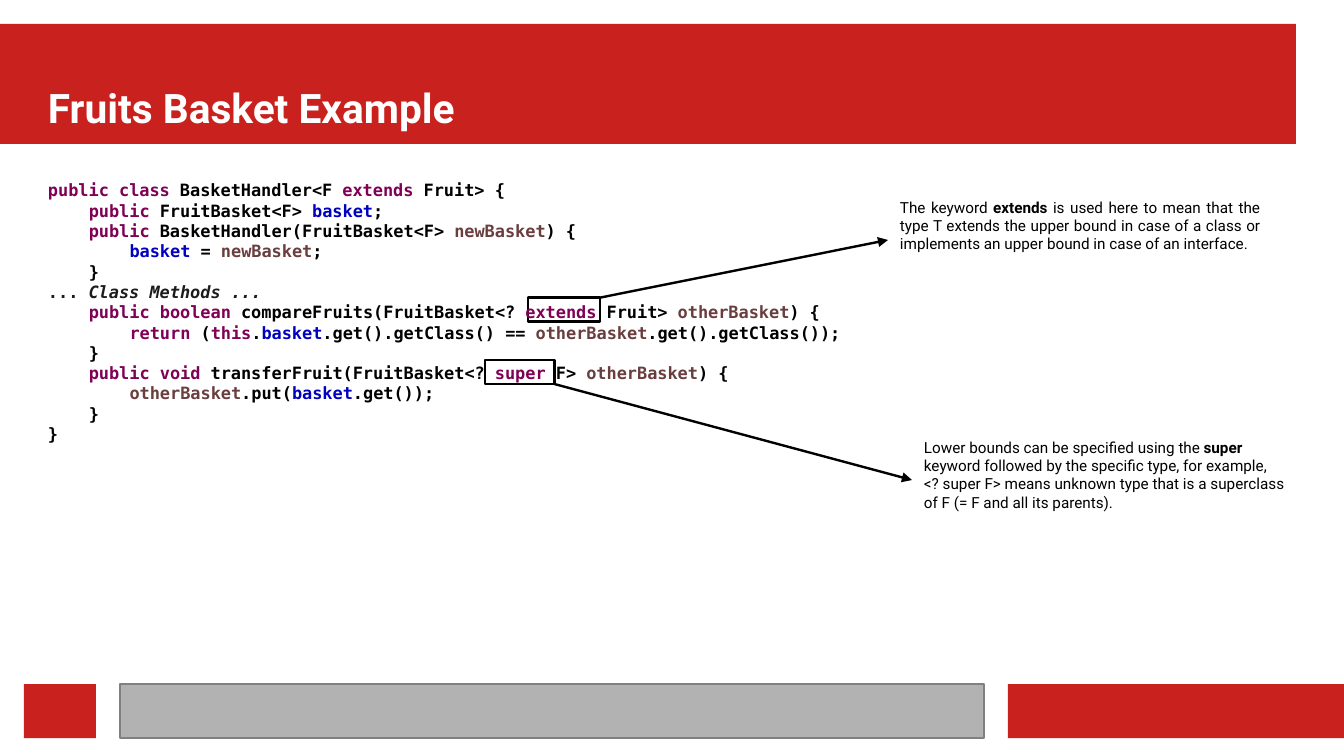
from dataclasses import dataclass

import pptx
import pptx.dml.color
import pptx.enum.shapes
import pptx.enum.text
import pptx.oxml.ns
import pptx.util
from lxml import etree

Pt = pptx.util.Pt
Align = pptx.enum.text.PP_ALIGN
Anchor = pptx.enum.text.MSO_ANCHOR

HUES = {
    "red": "C9211E", "grey": "B2B2B2", "edge": "808080", "white": "FFFFFF",
    "plain": "000000", "key": "7F0055", "field": "0000C0", "param": "6A3E3E",
    "dots": "1C1C1C", "remark": "1C1C1C",
}
SANS, MONO = "Roboto", "DejaVu Sans Mono"
STEP = 24.08  # four characters of 10 pt code
ROW = 12
STROKE = 1.42


@dataclass
class Box:
    left: float
    top: float
    width: float
    height: float
    fill: str
    line: str = ""
    weight: float = 0


@dataclass
class Code:
    depth: int
    words: list[tuple[str, str]]


@dataclass
class Note:
    left: float
    top: float
    align: Align
    words: list[tuple[str, bool]]


@dataclass
class Arrow:
    start: tuple[float, float]
    end: tuple[float, float]


BARS = [
    Box(0, 14.17, 765.35, 70.87, "red"),
    Box(595.28, 403.94, 198.43, 31.89, "red"),
    Box(70.87, 403.94, 510.24, 31.89, "grey", "edge", 0.75),
    Box(14.17, 403.94, 42.52, 31.89, "red"),
]
FRAMES = [
    Box(311.81, 175.75, 42.52, 14.17, "white", "plain", STROKE),
    Box(286.3, 212.6, 41.1, 14.17, "white", "plain", STROKE),
]
CODE = [
    Code(0, [("key", "public class"), ("plain", " BasketHandler<F "),
             ("key", "extends"), ("plain", " Fruit> {")]),
    Code(1, [("key", "public"), ("plain", " FruitBasket<F> "),
             ("field", "basket"), ("plain", ";")]),
    Code(1, [("key", "public"), ("plain", " BasketHandler(FruitBasket<F> "),
             ("param", "newBasket"), ("plain", ") {")]),
    Code(2, [("field", "basket"), ("plain", " = "),
             ("param", "newBasket"), ("plain", ";")]),
    Code(1, [("plain", "}")]),
    Code(0, [("dots", "... "), ("remark", "Class Methods ...")]),
    Code(1, [("key", "public boolean"), ("plain", " compareFruits(FruitBasket<? "),
             ("key", "extends"), ("plain", " Fruit> "),
             ("param", "otherBasket"), ("plain", ") {")]),
    Code(2, [("key", "return"), ("plain", " ("), ("key", "this"), ("plain", "."),
             ("field", "basket"), ("plain", ".get().getClass() == "),
             ("param", "otherBasket"), ("plain", ".get().getClass());")]),
    Code(1, [("plain", "}")]),
    Code(1, [("key", "public void"), ("plain", " transferFruit(FruitBasket<? "),
             ("key", "super"), ("plain", " F> "),
             ("param", "otherBasket"), ("plain", ") {")]),
    Code(2, [("param", "otherBasket"), ("plain", ".put("),
             ("field", "basket"), ("plain", ".get());")]),
    Code(1, [("plain", "}")]),
    Code(0, [("plain", "}")]),
]
NOTES = [
    Note(524.41, 113.39, Align.JUSTIFY, [
        ("The keyword ", False), ("extends", True),
        (" is used here to mean that the type T extends the upper bound in case "
         "of a class or implements an upper bound in case of an interface.", False)]),
    Note(538.58, 255.12, Align.LEFT, [
        ("Lower bounds can be specified using the ", False), ("super", True),
        (" keyword followed by the specific type, for example, <? super F> means "
         "unknown type that is a superclass of F (= F and all its parents).", False)]),
]
ARROWS = [
    Arrow((354.33, 175.75), (524.41, 141.73)),
    Arrow((327.4, 226.77), (538.58, 283.46)),
]


def tint(name: str) -> pptx.dml.color.RGBColor:
    return pptx.dml.color.RGBColor.from_string(HUES[name])


def style(run, face: str, size: float, hue: str, bold: bool) -> None:
    run.font.name = face
    run.font.size = Pt(size)
    run.font.bold = bold
    run.font.color.rgb = tint(hue)


def draw_box(slide, box: Box) -> None:
    shape = slide.shapes.add_shape(
        pptx.enum.shapes.MSO_SHAPE.RECTANGLE,
        Pt(box.left), Pt(box.top), Pt(box.width), Pt(box.height))
    shape.shadow.inherit = False
    shape.fill.solid()
    shape.fill.fore_color.rgb = tint(box.fill)
    if box.line:
        shape.line.color.rgb = tint(box.line)
        shape.line.width = Pt(box.weight)
    else:
        shape.line.fill.background()


def place(slide, holder, left: float, top: float, width: float, height: float):
    """Move a placeholder in front of all shapes so far and clear its margins."""
    slide.shapes._spTree.append(holder._element)
    holder.left, holder.top = Pt(left), Pt(top)
    holder.width, holder.height = Pt(width), Pt(height)
    frame = holder.text_frame
    frame.margin_left = frame.margin_right = 0
    frame.margin_top = frame.margin_bottom = 0
    frame.word_wrap = True
    frame.auto_size = pptx.enum.text.MSO_AUTO_SIZE.NONE
    return frame


def draw_title(slide) -> None:
    frame = place(slide, slide.shapes.title, 28.35, 21.26, 737.01, 56.69)
    frame.vertical_anchor = Anchor.BOTTOM
    frame.text = "Fruits Basket Example"
    head = frame.paragraphs[0]
    head.alignment = Align.LEFT
    style(head.runs[0], SANS, 24, "white", True)


def draw_code(slide) -> None:
    frame = place(slide, slide.placeholders[1], 28.35, 106.3, 722.83, 276.38)
    frame.vertical_anchor = Anchor.TOP
    for index, code in enumerate(CODE):
        para = frame.add_paragraph() if index else frame.paragraphs[0]
        para.alignment = Align.LEFT
        para.space_before = para.space_after = Pt(0)
        para.line_spacing = Pt(ROW)
        props = para._p.get_or_add_pPr()
        props.set("marL", str(Pt(code.depth * STEP)))
        props.set("indent", "0")
        etree.SubElement(props, pptx.oxml.ns.qn("a:buNone"))
        for hue, text in code.words:
            run = para.add_run()
            run.text = text
            style(run, MONO, 10, hue, True)
            run.font.italic = hue == "remark"


def draw_note(slide, note: Note) -> None:
    frame = slide.shapes.add_textbox(
        Pt(note.left), Pt(note.top), Pt(226.77), Pt(59.53)).text_frame
    frame.word_wrap = True
    para = frame.paragraphs[0]
    para.alignment = note.align
    for text, bold in note.words:
        run = para.add_run()
        run.text = text
        style(run, SANS, 9, "plain", bold)


def draw_arrow(slide, arrow: Arrow) -> None:
    link = slide.shapes.add_connector(
        pptx.enum.shapes.MSO_CONNECTOR.STRAIGHT,
        *map(Pt, arrow.start), *map(Pt, arrow.end))
    link.line.color.rgb = tint("plain")
    link.line.width = Pt(STROKE)
    qn = pptx.oxml.ns.qn
    etree.SubElement(link.line._get_or_add_ln(), qn("a:tailEnd"), type="triangle")
    etree.SubElement(link._element.spPr, qn("a:effectLst"))


def main() -> None:
    deck = pptx.Presentation()
    deck.slide_width, deck.slide_height = Pt(793.7), Pt(446.4)
    slide = deck.slides.add_slide(deck.slide_layouts[1])
    for bar in BARS:
        draw_box(slide, bar)
    draw_title(slide)
    for frame in FRAMES:
        draw_box(slide, frame)
    draw_code(slide)
    for note in NOTES:
        draw_note(slide, note)
    for arrow in ARROWS:
        draw_arrow(slide, arrow)
    deck.save("out.pptx")


if __name__ == "__main__":
    main()
